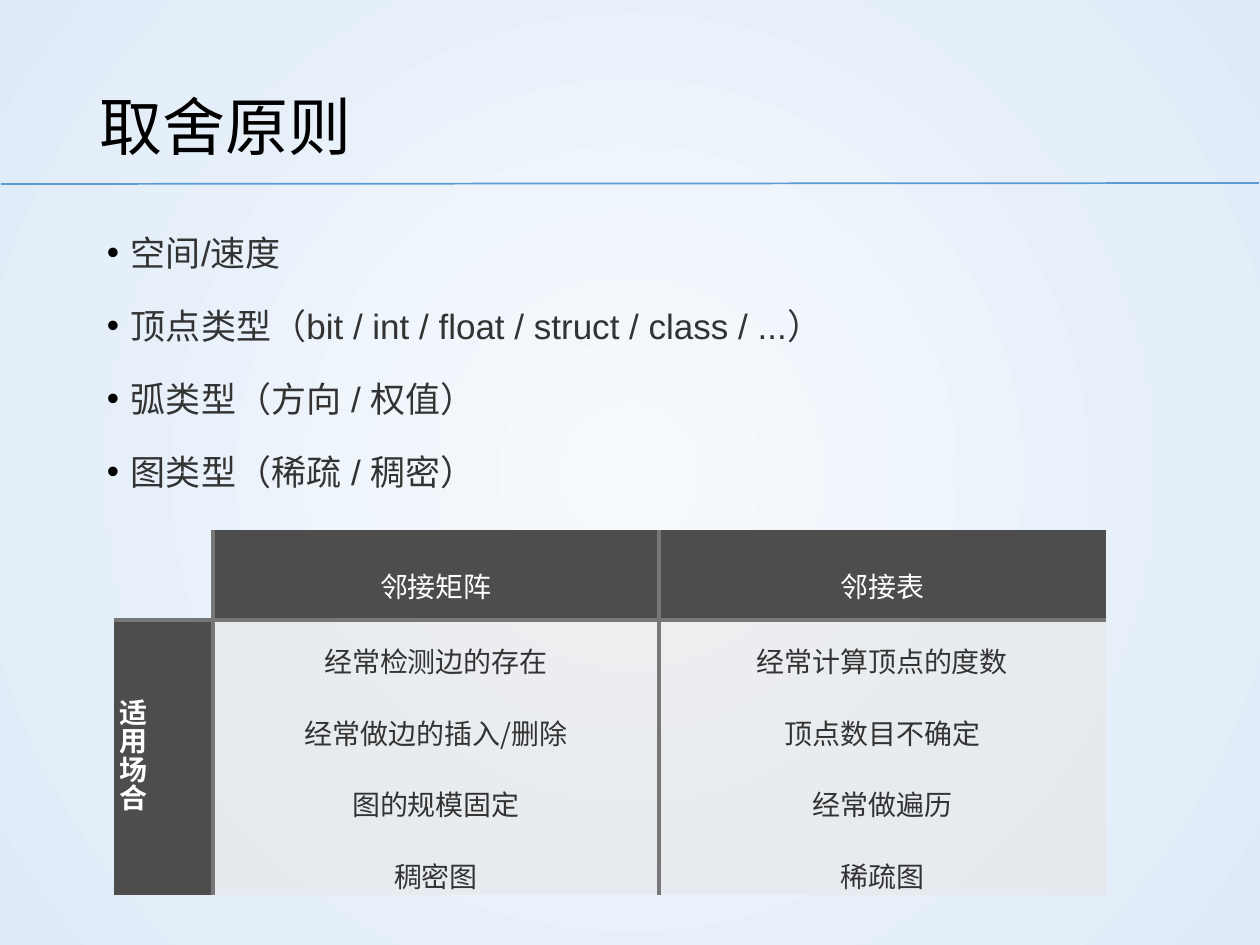
from pptx import Presentation
from pptx.dml.color import RGBColor
from pptx.enum.shapes import MSO_CONNECTOR as Conn
from pptx.enum.text import MSO_ANCHOR as Anchor, PP_ALIGN as Align
from pptx.oxml import parse_xml
from pptx.oxml.ns import nsdecls, qn
from pptx.util import Pt

TITLE = "取舍原则"
POINTS = [
    "空间/速度",
    "顶点类型（bit / int / float / struct / class / ...）",
    "弧类型（方向 / 权值）",
    "图类型（稀疏 / 稠密）",
]
TABLE = [
    [[], ["邻接矩阵"], ["邻接表"]],
    [
        ["适用场合"],
        ["经常检测边的存在", "经常做边的插入/删除", "图的规模固定", "稠密图"],
        ["经常计算顶点的度数", "顶点数目不确定", "经常做遍历", "稀疏图"],
    ],
]
COLS, ROWS = [99, 446, 447], [90, 275]
DARK, PALE, EDGE, INK = "4D4D4D", "E7E6E6", "777777", "333333"
SANS, HAN = "Arial", "Noto Sans CJK SC"
PLAIN = "{2D5ABB26-0587-4C30-8999-92F81FD0307C}"  # table style without grid
SIDES = ("left", "top", "right", "bottom")

HEAD = dict(size=36, name=SANS, color="000000", line=1.2)
BODY = dict(size=20, name=SANS, color=INK, line=1.4, gap=True, dot=True)
CELL = dict(size=16, name=HAN, color=INK, line=1.5, gap=True, align=Align.CENTER)
LABEL = dict(CELL, color="FFFFFF")
STACK = dict(LABEL, line=0.7, gap=False, bold=True)
SLIM = (5, 0, 64, 0)  # margins that leave room for one character a line


def px(n):
    return round(n * 914400 / 126)


def rgb(code):
    return RGBColor.from_string(code)


def node(text):
    """Make an element from XML in the drawing namespace."""
    tag, rest = text[:-2].split(" ", 1)
    return parse_xml(f"{tag} {nsdecls('a')} {rest}/>")


def pad(item, sizes):
    for side, size in zip(SIDES, sizes):
        setattr(item, f"margin_{side}", px(size))


def write(frame, lines, size, name, color, line, gap=False, align=None,
          bold=False, dot=False):
    for i, text in enumerate(lines):
        para = frame.paragraphs[0] if i == 0 else frame.add_paragraph()
        para.line_spacing = line
        if align is not None:
            para.alignment = align
        if gap:
            para.space_before = Pt(0.3 * size if i else 0)
            para.space_after = Pt(0.1 * size)
        if dot:
            prop = para._p.get_or_add_pPr()
            prop.set("marL", str(px(24)))
            prop.set("indent", str(-px(24)))
            prop.append(parse_xml(
                f'<a:buClr {nsdecls("a")}><a:srgbClr val="000000"/></a:buClr>'))
            prop.append(node(f'<a:buFont typeface="{SANS}"/>'))
            prop.append(node('<a:buChar char="•"/>'))
        run = para.add_run()
        run.text = text
        for key, val in dict(size=Pt(size), name=name, bold=bold).items():
            setattr(run.font, key, val)
        run.font.color.rgb = rgb(color)
        run._r.get_or_add_rPr().append(node(f'<a:ea typeface="{name}"/>'))


def text_box(slide, box, lines, anchor, pads, style):
    frame = slide.shapes.add_textbox(*map(px, box)).text_frame
    frame.word_wrap = True
    frame.vertical_anchor = anchor
    pad(frame, pads)
    write(frame, lines, **style)


def paint(slide):
    """Give the slide a round gradient, light in the middle."""
    fill = slide.background.fill
    fill.gradient()
    for stop, code, pos in zip(fill.gradient_stops, ("F7FAFD", "DEEBF7"), (0, 1)):
        stop.color.rgb, stop.position = rgb(code), pos
    grad = next(slide.element.iter(qn("a:gradFill")))
    ring = parse_xml(
        f'<a:path {nsdecls("a")} path="circle">'
        '<a:fillToRect l="50000" t="50000" r="50000" b="50000"/></a:path>')
    grad.replace(grad.find(qn("a:lin")), ring)


def rule(slide):
    line = slide.shapes.add_connector(Conn.STRAIGHT, px(1), px(184), px(1259), px(183))
    line.line.color.rgb = rgb("5B9BD5")
    line.line.width = Pt(1)
    line._element.spPr.append(node("<a:effectLst />"))


def border(cell, sides):
    prop = cell._tc.get_or_add_tcPr()
    for i, side in enumerate(sides):
        prop.insert(i, parse_xml(
            f'<a:ln{side} {nsdecls("a")} w="{Pt(3)}"><a:solidFill>'
            f'<a:srgbClr val="{EDGE}"/></a:solidFill></a:ln{side}>'))


def fill_cell(cell, lines, row, col):
    inner = row > 0 and col > 0
    side = row > 0 and col == 0
    pad(cell, SLIM if side else (0, 0, 0, 0))
    cell.vertical_anchor = Anchor.MIDDLE
    if not lines:
        cell.fill.background()
    else:
        cell.fill.solid()
        cell.fill.fore_color.rgb = rgb(PALE if inner else DARK)
    if inner:
        tone = next(cell._tc.tcPr.iter(qn("a:srgbClr")))
        tone.append(node('<a:alpha val="50000"/>'))
    # Only the lines between cells are drawn
    shown = dict(L=col > 0, R=col < len(COLS) - 1, T=row > 0, B=row < len(ROWS) - 1)
    border(cell, [edge for edge, on in shown.items() if on])
    write(cell.text_frame, lines, **(CELL if inner else STACK if side else LABEL))


def grid(slide):
    box = (114, 530, sum(COLS), sum(ROWS))
    table = slide.shapes.add_table(len(ROWS), len(COLS), *map(px, box)).table
    table.first_row = table.horz_banding = False
    next(table._tbl.iter(qn("a:tableStyleId"))).text = PLAIN
    for col, wide in zip(table.columns, COLS):
        col.width = px(wide)
    for row, high in zip(table.rows, ROWS):
        row.height = px(high)
    for r, cells in enumerate(TABLE):
        for c, lines in enumerate(cells):
            fill_cell(table.cell(r, c), lines, r, c)


def main():
    deck = Presentation()
    deck.slide_width, deck.slide_height = px(1260), px(945)
    slide = deck.slides.add_slide(deck.slide_layouts[6])
    paint(slide)
    rule(slide)
    text_box(slide, (87, 50, 1086, 136), [TITLE], Anchor.MIDDLE, (13, 6, 13, 6), HEAD)
    text_box(slide, (87, 205, 1086, 646), POINTS, Anchor.TOP, (20, 10, 0, 10), BODY)
    grid(slide)
    deck.save("out.pptx")


if __name__ == "__main__":
    main()
